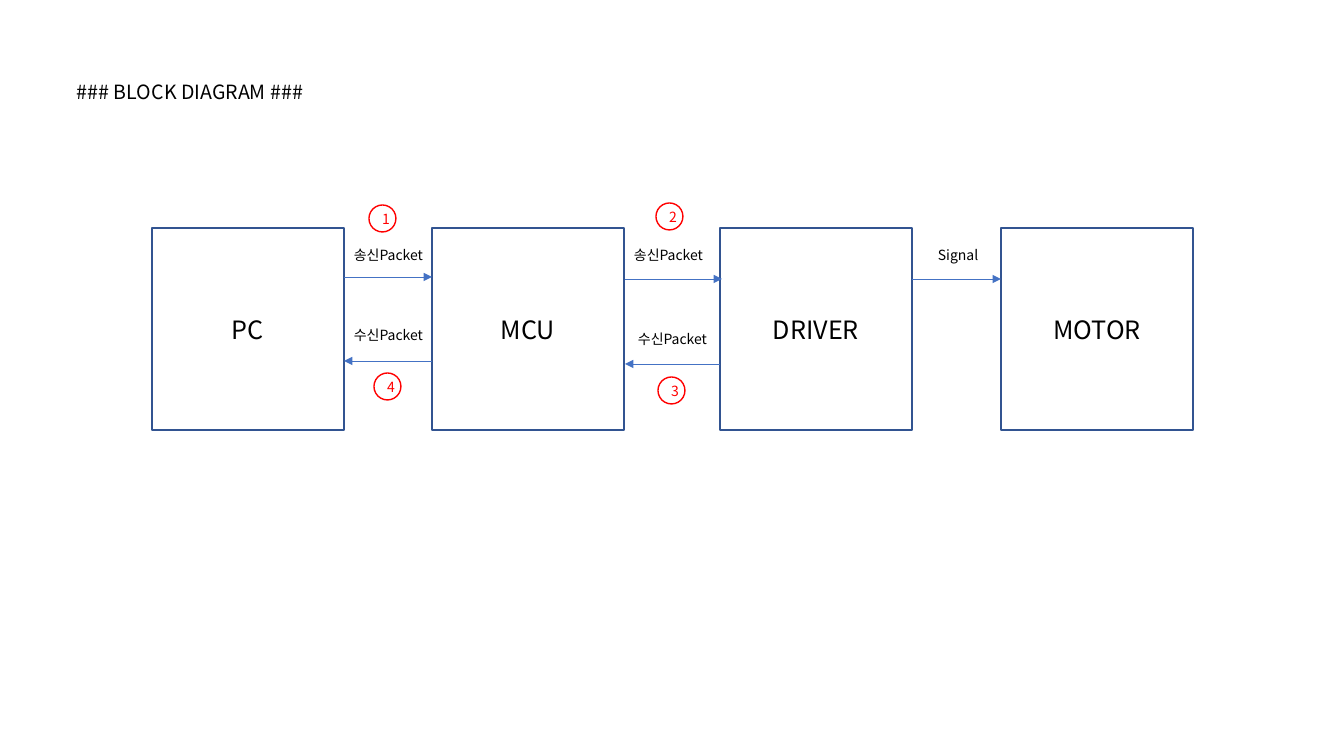
from collections import namedtuple
from pptx import Presentation
from pptx.dml.color import RGBColor
from pptx.enum.shapes import MSO_CONNECTOR as CONNECTOR, MSO_SHAPE as SHAPE
from pptx.enum.text import MSO_ANCHOR as ANCHOR, PP_ALIGN as ALIGN
from pptx.oxml.ns import qn
from pptx.util import Pt
from lxml.etree import SubElement

EMU_PER_PIXEL = 914400 / 100.8
FONT = "Noto Sans CJK KR"
COLORS = {"text": "000000", "block": "325491", "arrow": "4472C4", "badge": "FF0000"}
Box = namedtuple("Box", "left top width height")
Message = namedtuple("Message", "text start end arrow_y label badge number")

BLOCK_NAMES = ["PC", "MCU", "DRIVER", "MOTOR"]
BLOCK_LEFTS = [0, 280, 568, 849]
BLOCK_WIDTH, BLOCK_HEIGHT = 192, 202
LABEL_SIZE = (131, 27)
BADGE_SIZE = 27
LINKS = [
    [
        Message("송신Packet", 0, 88, 49, (0, 14), (25, -23), "1"),
        Message("수신Packet", 88, 0, 133, (0, 94), (30, 145), "4"),
    ],
    [
        Message("송신Packet", 1, 98, 51, (0, 14), (32, -25), "2"),
        Message("수신Packet", 96, 1, 136, (4, 98), (34, 149), "3"),
    ],
    [Message("Signal", 0, 89, 51, (16, 14), None, None)],
]


def emu(*pixels):
    return [round(pixel * EMU_PER_PIXEL) for pixel in pixels]


def color(name):
    return RGBColor.from_string(COLORS[name])


def add_run(paragraph, text, size, color_name):
    run = paragraph.add_run()
    run.text = text
    run.font.name = FONT
    run.font.size = Pt(size)
    run.font.color.rgb = color(color_name)
    properties = run.font._element
    SubElement(properties, qn("a:ea")).set("typeface", FONT)


def add_text(slide, box, text, size):
    frame = slide.shapes.add_textbox(*emu(*box)).text_frame
    frame.word_wrap = True
    add_run(frame.paragraphs[0], text, size, "text")


def add_outline(slide, kind, box, text, size, line_color, text_color):
    shape = slide.shapes.add_shape(kind, *emu(*box))
    shape.shadow.inherit = False
    shape.fill.background()
    shape.line.color.rgb = color(line_color)
    shape.line.width = Pt(1)
    frame = shape.text_frame
    frame.word_wrap = True
    frame.vertical_anchor = ANCHOR.MIDDLE
    paragraph = frame.paragraphs[0]
    paragraph.alignment = ALIGN.CENTER
    add_run(paragraph, text, size, text_color)


def add_arrow(slide, start, end, y):
    arrow = slide.shapes.add_connector(CONNECTOR.STRAIGHT, *emu(start, y, end, y))
    arrow.line.color.rgb = color("arrow")
    arrow.line.width = Pt(0.5)
    SubElement(arrow.line._get_or_add_ln(), qn("a:tailEnd")).set("type", "triangle")
    SubElement(arrow._element.spPr, qn("a:effectLst"))


def add_link(slide, box, messages):
    for message in messages:
        add_arrow(slide, box.left + message.start, box.left + message.end,
                  box.top + message.arrow_y)
        label_x, label_y = message.label
        add_text(slide, Box(box.left + label_x, box.top + label_y, *LABEL_SIZE),
                 message.text, 10)
        if message.badge:
            badge_x, badge_y = message.badge
            badge_box = Box(box.left + badge_x, box.top + badge_y, BADGE_SIZE, BADGE_SIZE)
            add_outline(slide, SHAPE.OVAL, badge_box, message.number, 10, "badge", "badge")


def add_block_diagram(slide, box):
    for name, left in zip(BLOCK_NAMES, BLOCK_LEFTS):
        block = Box(box.left + left, box.top, BLOCK_WIDTH, box.height)
        add_outline(slide, SHAPE.RECTANGLE, block, name, 18, "block", "text")
    for left, right, messages in zip(BLOCK_LEFTS, BLOCK_LEFTS[1:], LINKS):
        gap_left = left + BLOCK_WIDTH
        gap = Box(box.left + gap_left, box.top, right - gap_left, box.height)
        add_link(slide, gap, messages)


def main():
    presentation = Presentation()
    presentation.slide_width, presentation.slide_height = emu(1344, 756)
    slide = presentation.slides.add_slide(presentation.slide_layouts[6])
    add_text(slide, Box(67, 75, 1152, 105), "### BLOCK DIAGRAM ###", 14)
    diagram_width = BLOCK_LEFTS[-1] + BLOCK_WIDTH
    add_block_diagram(slide, Box(152, 228, diagram_width, BLOCK_HEIGHT))
    presentation.save("out.pptx")


main()
